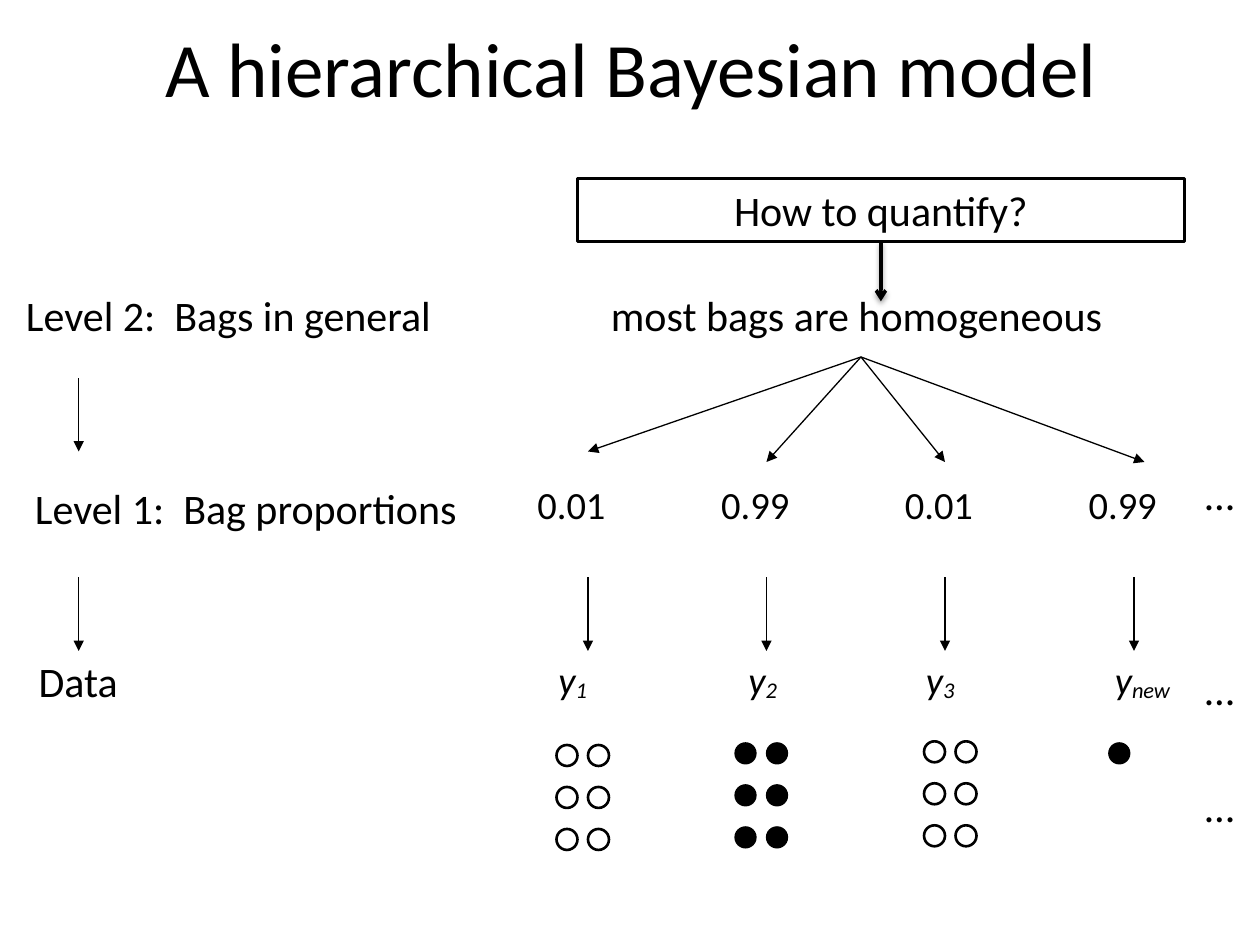
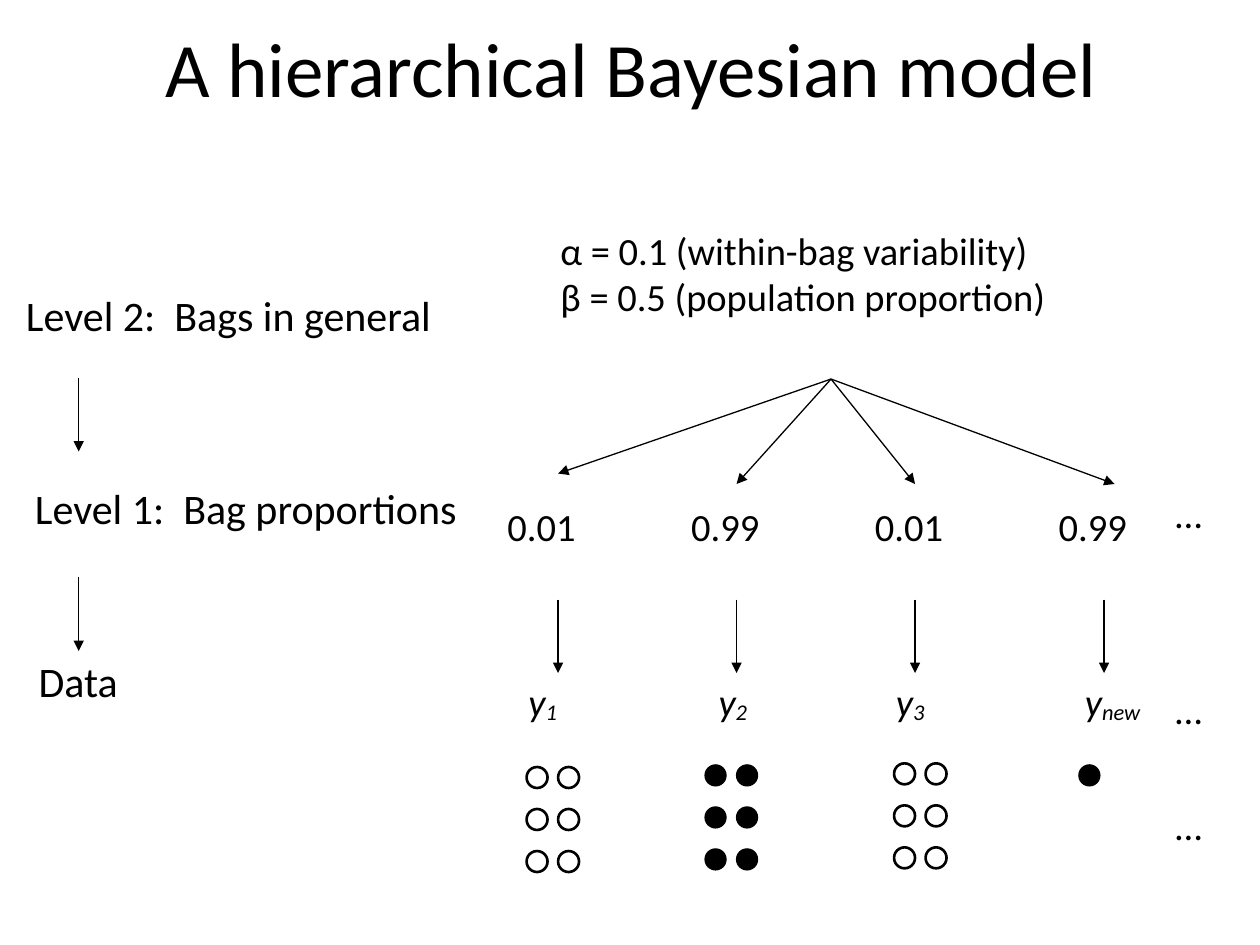
from lxml.etree import SubElement
from pptx import Presentation
from pptx.dml.color import RGBColor
from pptx.enum.shapes import MSO_CONNECTOR, MSO_SHAPE
from pptx.enum.text import MSO_ANCHOR, MSO_AUTO_SIZE, PP_ALIGN
from pptx.oxml.ns import qn
from pptx.util import Inches, Pt

COLORS = {"ink": "000000", "paper": "FFFFFF"}
FONT = "Calibri"
TITLE_SIZE, LABEL_SIZE, VALUE_SIZE = 44, 24, 22

# Grid: 120 columns by 90 rows of square cells
SLIDE_WIDTH, SLIDE_HEIGHT = Inches(10), Inches(7.5)
CELL = SLIDE_WIDTH / 120
TITLE_LAYOUT = 5

# Each bag: proportion, data subscript, subscript column, arrow column,
# end of the branch, first ball (column, row), ball rows and columns, ball colour
BAGS = [
    ("0.01", "1", 52, 56, (56, 43), (53, 70.95), (3, 2), "paper"),
    ("0.99", "2", 70.1, 73, (73, 44), (70, 70.75), (3, 2), "ink"),
    ("0.01", "3", 87, 90, (90, 44), (88, 70.6), (3, 2), "paper"),
    ("0.99", "new", 105, 108, (109, 44), (105.6, 70.75), (1, 1), "ink"),
]
BALL_SIZE, BALL_COLUMN_STEP, BALL_ROW_STEP = 2, 3, 4
BRANCH_START = (82, 34)
PROPORTION_LEFT, PROPORTION_STEP = 50, 17.5
ELLIPSIS_ROWS = (44, 62.6, 73.7)


def cells(*counts):
    return [round(count * CELL) for count in counts]


def color(name):
    return RGBColor.from_string(COLORS[name])


def format_runs(text_frame, size, italic=None):
    for paragraph in text_frame.paragraphs:
        for run in paragraph.runs:
            run.font.name = FONT
            run.font.size = Pt(size)
            run.font.italic = italic
            run.font.color.rgb = color("ink")


def add_title(slide, text):
    title = slide.shapes.title
    title.left, title.top, title.width, title.height = cells(8.9, -1.1, 102.5, 15)
    frame = title.text_frame
    frame.margin_left = frame.margin_right = frame.margin_top = frame.margin_bottom = 0
    frame.vertical_anchor = MSO_ANCHOR.MIDDLE
    frame.text = text
    frame.paragraphs[0].alignment = PP_ALIGN.CENTER
    format_runs(frame, TITLE_SIZE)


def add_text(slide, text, column, row, width, size=LABEL_SIZE, wrap=True):
    height = 6 if size == LABEL_SIZE else 5.65
    box = slide.shapes.add_textbox(*cells(column, row, width, height))
    frame = box.text_frame
    frame.word_wrap = wrap
    frame.auto_size = MSO_AUTO_SIZE.SHAPE_TO_FIT_TEXT
    frame.text = text
    format_runs(frame, size)
    return box


def add_data_name(slide, subscript, column, row):
    width = 5.9 if len(subscript) == 1 else 8.9
    frame = add_text(slide, "y", column, row, width, VALUE_SIZE, wrap=False).text_frame
    run = frame.paragraphs[0].add_run()
    run.text = subscript
    format_runs(frame, VALUE_SIZE, italic=True)
    run.font._element.set("baseline", "-10000")


def add_arrow(slide, start, end, width=0.75, head="triangle"):
    arrow = slide.shapes.add_connector(MSO_CONNECTOR.STRAIGHT, *cells(*start, *end))
    arrow.line.color.rgb = color("ink")
    arrow.line.width = Pt(width)
    SubElement(arrow.line._get_or_add_ln(), qn("a:tailEnd"), type=head)
    SubElement(arrow._element.spPr, qn("a:effectLst"))
    return arrow


def add_soft_shadow(arrow):
    effects = arrow._element.spPr.find(qn("a:effectLst"))
    shadow = SubElement(effects, qn("a:outerShdw"), blurRad=str(Pt(3.1)),
                        dist=str(Pt(1.6)), dir="5400000", rotWithShape="0")
    shade = SubElement(shadow, qn("a:srgbClr"), val=COLORS["ink"])
    SubElement(shade, qn("a:alpha"), val="38000")


def add_ball(slide, column, row, fill):
    ball = slide.shapes.add_shape(
        MSO_SHAPE.OVAL, *cells(column, row, BALL_SIZE, BALL_SIZE))
    ball.shadow.inherit = False
    ball.fill.solid()
    ball.fill.fore_color.rgb = color(fill)
    ball.line.color.rgb = color("ink")
    ball.line.width = Pt(0.75 if fill == "ink" else 1.5)


def add_question(slide, text):
    """Outlined question with an arrow down to the statement."""
    box = slide.shapes.add_shape(MSO_SHAPE.RECTANGLE, *cells(55, 17, 57.8, 6))
    box.shadow.inherit = False
    box.fill.background()
    box.line.color.rgb = color("ink")
    box.line.width = Pt(1.5)
    box.text_frame.text = text
    box.text_frame.paragraphs[0].alignment = PP_ALIGN.CENTER
    format_runs(box.text_frame, LABEL_SIZE)
    arrow = add_arrow(slide, (83.9, 23), (83.9, 28.7), width=2, head="arrow")
    arrow.begin_connect(box, 2)
    add_soft_shadow(arrow)


def add_levels(slide):
    """Left column: the names of the levels, joined by arrows."""
    add_text(slide, "Level 2:  Bags in general", 1.3, 27, 54)
    add_text(slide, "Level 1:  Bag proportions", 2.15, 45.4, 47)
    add_text(slide, "Data", 2.5, 61.8, 15.8)
    for row in (36, 55):
        add_arrow(slide, (7.5, row), (7.5, row + 7))


def add_bag_tree(slide, shift=(0, 0), ellipsis_size=LABEL_SIZE):
    """Branches, proportions, data names and balls of every bag."""
    def place(column, row):
        return column + shift[0], row + shift[1]

    for index, bag in enumerate(BAGS):
        proportion, subscript, name_left, arrow_column, branch_end, first, grid, fill = bag
        add_arrow(slide, place(*BRANCH_START), place(*branch_end))
        proportion_left = PROPORTION_LEFT + index * PROPORTION_STEP
        add_text(slide, proportion, *place(proportion_left, 45.25), 9,
                 VALUE_SIZE, wrap=False)
        add_arrow(slide, place(arrow_column, 55), place(arrow_column, 62))
        add_data_name(slide, subscript, *place(name_left, 61.9))
        for row in range(grid[0]):
            for column in range(grid[1]):
                add_ball(slide, *place(first[0] + column * BALL_COLUMN_STEP,
                                       first[1] + row * BALL_ROW_STEP), fill)

    ellipsis_width = 6.3 if ellipsis_size == LABEL_SIZE else 4.9
    for row in ELLIPSIS_ROWS:
        add_text(slide, "…", *place(113.6, row), ellipsis_width, ellipsis_size, wrap=False)


def add_model_slide(presentation):
    slide = presentation.slides.add_slide(presentation.slide_layouts[TITLE_LAYOUT])
    add_title(slide, "A hierarchical Bayesian model")
    add_levels(slide)
    return slide


def main():
    presentation = Presentation()
    presentation.slide_width, presentation.slide_height = SLIDE_WIDTH, SLIDE_HEIGHT

    # Slide 1: the general statement, still to be quantified
    slide = add_model_slide(presentation)
    add_question(slide, "How to quantify?")
    add_text(slide, "most bags are homogeneous", 57, 27, 62)
    add_bag_tree(slide)

    # Slide 2: the statement as two parameters
    slide = add_model_slide(presentation)
    add_text(slide, "α = 0.1 (within-bag variability)\nβ = 0.5 (population proportion)",
             52.2, 21, 66, VALUE_SIZE)
    add_bag_tree(slide, shift=(-2.85, 2.1), ellipsis_size=VALUE_SIZE)

    presentation.save("out.pptx")


if __name__ == "__main__":
    main()
